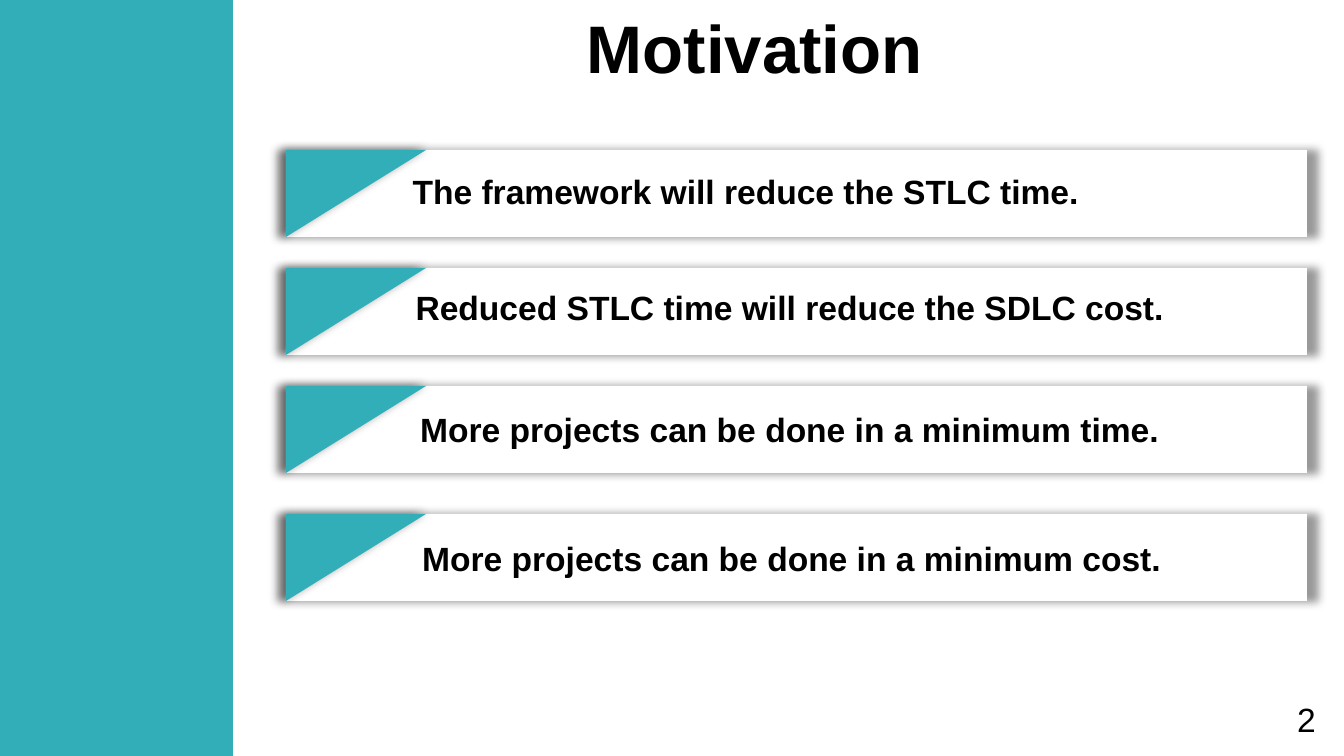
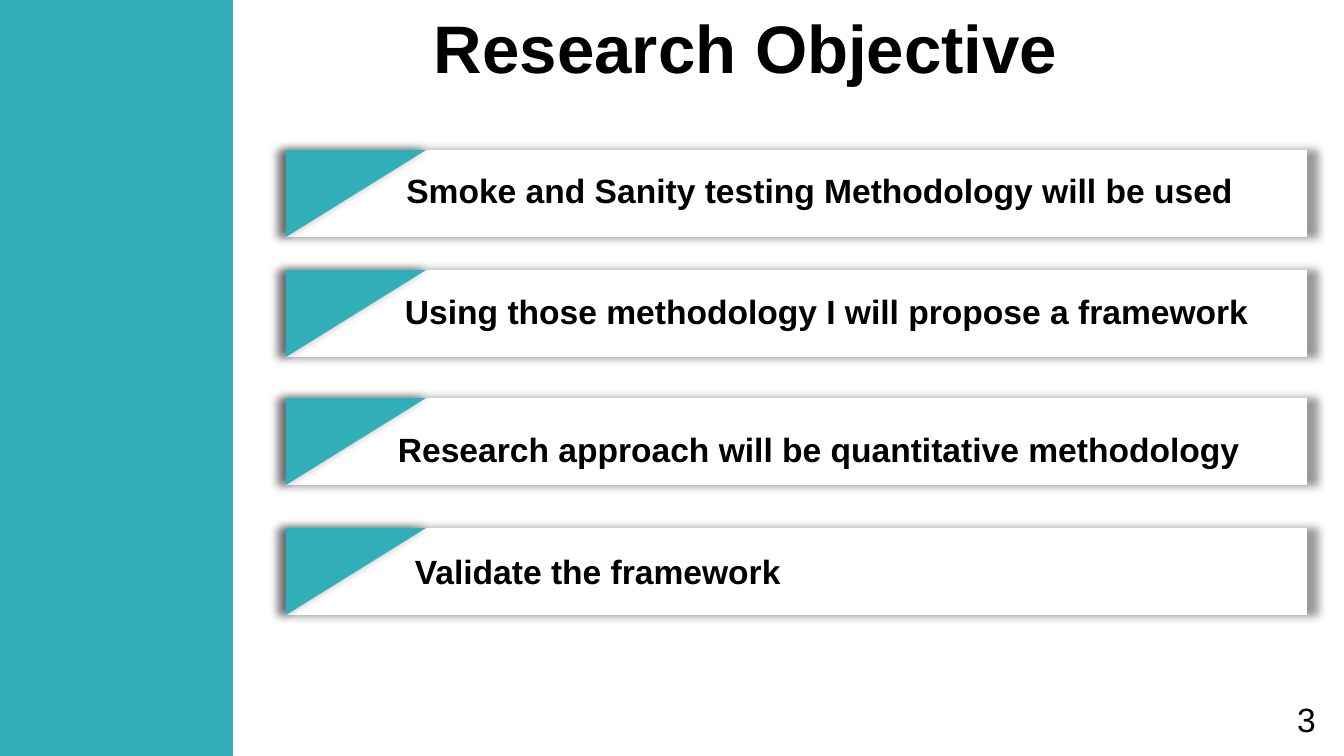
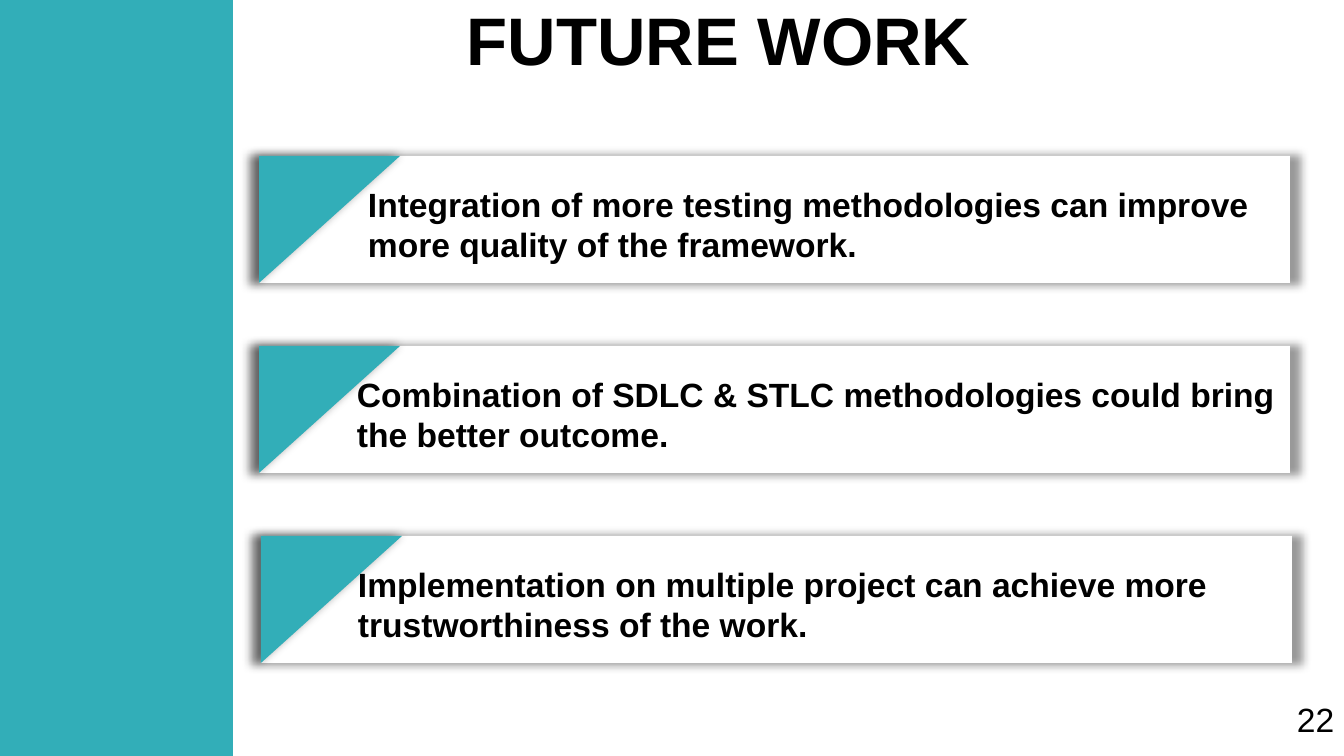
from lxml import etree
from pptx import Presentation
from pptx.dml.color import RGBColor
from pptx.enum.shapes import MSO_SHAPE
from pptx.enum.text import MSO_ANCHOR, MSO_AUTO_SIZE, PP_ALIGN
from pptx.oxml.ns import qn
from pptx.util import Emu, Pt

RECT, TRIANGLE = MSO_SHAPE.RECTANGLE, MSO_SHAPE.RIGHT_TRIANGLE
LEFT, CENTER = PP_ALIGN.LEFT, PP_ALIGN.CENTER
TOP, MIDDLE = MSO_ANCHOR.TOP, MSO_ANCHOR.MIDDLE
FIXED, GROW = MSO_AUTO_SIZE.NONE, MSO_AUTO_SIZE.SHAPE_TO_FIT_TEXT
COLORS = {"teal": "32AEB8", "white": "FFFFFF", "black": "000000"}
FONT = "Arial"
WIDTH, HEIGHT = 1344, 756
INSET = 13


def px(n):
    return Emu(round(n * 914400 / 134.4))


def rgb(name):
    return RGBColor.from_string(COLORS[name])


class Deck:
    """Holds the shared style and the slide being built."""

    def __init__(self):
        self.prs = Presentation()
        self.prs.slide_width, self.prs.slide_height = px(WIDTH), px(HEIGHT)
        self.s = None

    def slide(self, title, number, x=0, y=4, indent=0):
        self.s = self.prs.slides.add_slide(self.prs.slide_layouts[6])
        self.shape(self.s.shapes, RECT, 0, 0, 233, HEIGHT, "teal")
        self.text(title, x, y, WIDTH, 85, size=36, align=CENTER,
                  anchor=MIDDLE, indent=indent)
        self.text(str(number), 1284, 692, 28 + 18 * len(str(number)), 53,
                  bold=False, wrap=False, fit=GROW)

    def shape(self, shapes, kind, x, y, w, h, fill):
        sp = shapes.add_shape(kind, px(x), px(y), px(w), px(h))
        sp.shadow.inherit = False
        sp.fill.solid()
        sp.fill.fore_color.rgb = rgb(fill)
        sp.line.fill.background()
        return sp

    def add_glow(self, sp):
        effects = sp.element.spPr.find(qn("a:effectLst"))
        shadow = etree.SubElement(effects, qn("a:outerShdw"), blurRad="63500",
                                  sx="102000", sy="102000", algn="ctr",
                                  rotWithShape="0")
        color = etree.SubElement(shadow, qn("a:srgbClr"), val=COLORS["black"])
        etree.SubElement(color, qn("a:alpha"), val="40000")

    def card(self, x, y, w, h, corner):
        shapes = self.s.shapes.add_group_shape().shapes
        self.add_glow(self.shape(shapes, RECT, x, y, w, h, "white"))
        shift = (corner - h) / 2
        sp = self.shape(shapes, TRIANGLE, x + shift, y - shift, h, corner, "teal")
        sp.rotation = 90
        self.add_glow(sp)

    def text(self, text, x, y, w, h, size=18, bold=True, align=LEFT,
             anchor=TOP, wrap=True, fit=FIXED, indent=0):
        tf = self.s.shapes.add_textbox(px(x), px(y), px(w), px(h)).text_frame
        tf.word_wrap, tf.auto_size, tf.vertical_anchor = wrap, fit, anchor
        tf.margin_left = px(INSET + indent)
        p = tf.paragraphs[0]
        p.alignment = align
        r = p.add_run()
        r.text = text
        r.font.name, r.font.size, r.font.bold = FONT, Pt(size), bold
        r.font.color.rgb = rgb("black")

    def short_cards(self, rows):
        for card_y, text, x, y, w, indent in rows:
            self.card(286, card_y, 1021, 87, 140)
            self.text(text, x, y, w, 54, align=CENTER, fit=GROW, indent=indent)

    def tall_cards(self, rows):
        for i, (card_x, text, x) in enumerate(rows):
            y = 156 + 190 * i
            self.card(card_x, y, 1031, 127, 141)
            self.text(text, x, y + 21, 946, 91)


def main():
    deck = Deck()
    deck.slide("Motivation", 2, indent=166)
    deck.short_cards([
        (150, "The framework will reduce the STLC time.", 289, 164, 868, 46),
        (268, "Reduced STLC time will reduce the SDLC cost.", 356, 280, 868, 0),
        (386, "More projects can be done in a minimum time.", 356, 402, 868, 0),
        (514, "More projects can be done in a minimum cost.", 358, 531, 868, 0),
    ])

    deck.slide("Research Objective", 3, indent=148)
    deck.short_cards([
        (150, "Smoke and Sanity testing Methodology will be used", 386, 163, 868, 0),
        (270, "Using those methodology I will propose a framework", 379, 284, 896, 0),
        (398, "Research approach will be quantitative methodology", 382, 422, 874, 0),
        (528, "Validate the framework", 164, 544, 868, 0),
    ])

    deck.slide("FUTURE WORK", 22, x=47, y=-4)
    deck.tall_cards([
        (259, "Integration of more testing methodologies can improve more "
              "quality of the framework.", 355),
        (259, "Combination of SDLC & STLC methodologies could bring the "
              "better outcome.", 344),
        (261, "Implementation on multiple project can achieve more "
              "trustworthiness of the work.", 345),
    ])
    deck.prs.save("out.pptx")


if __name__ == "__main__":
    main()
